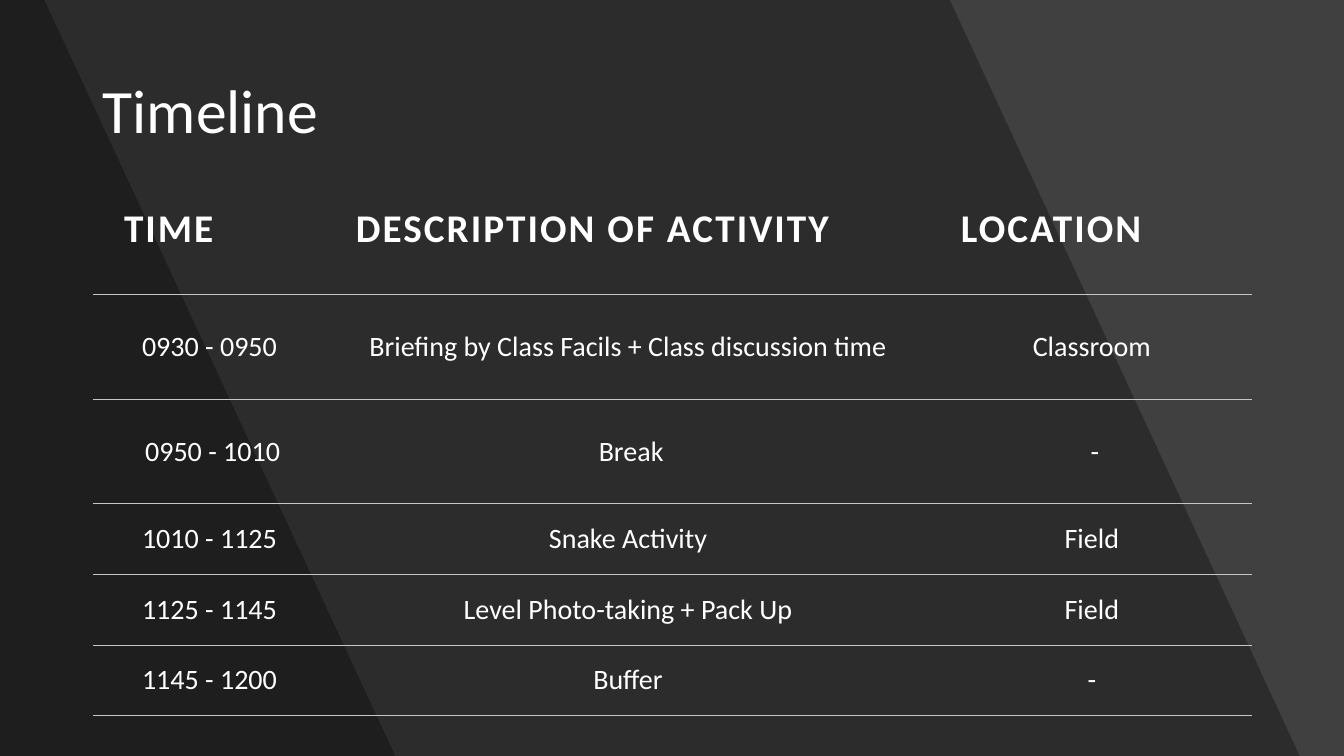
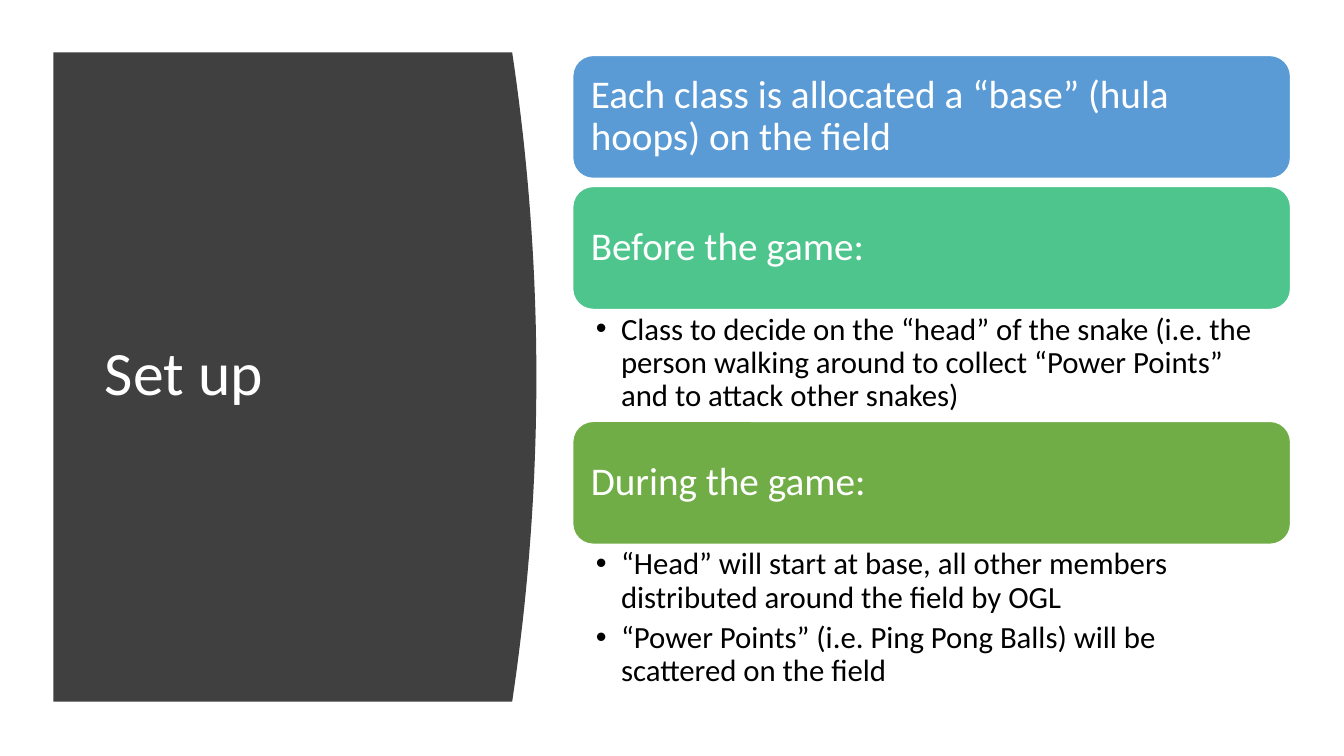
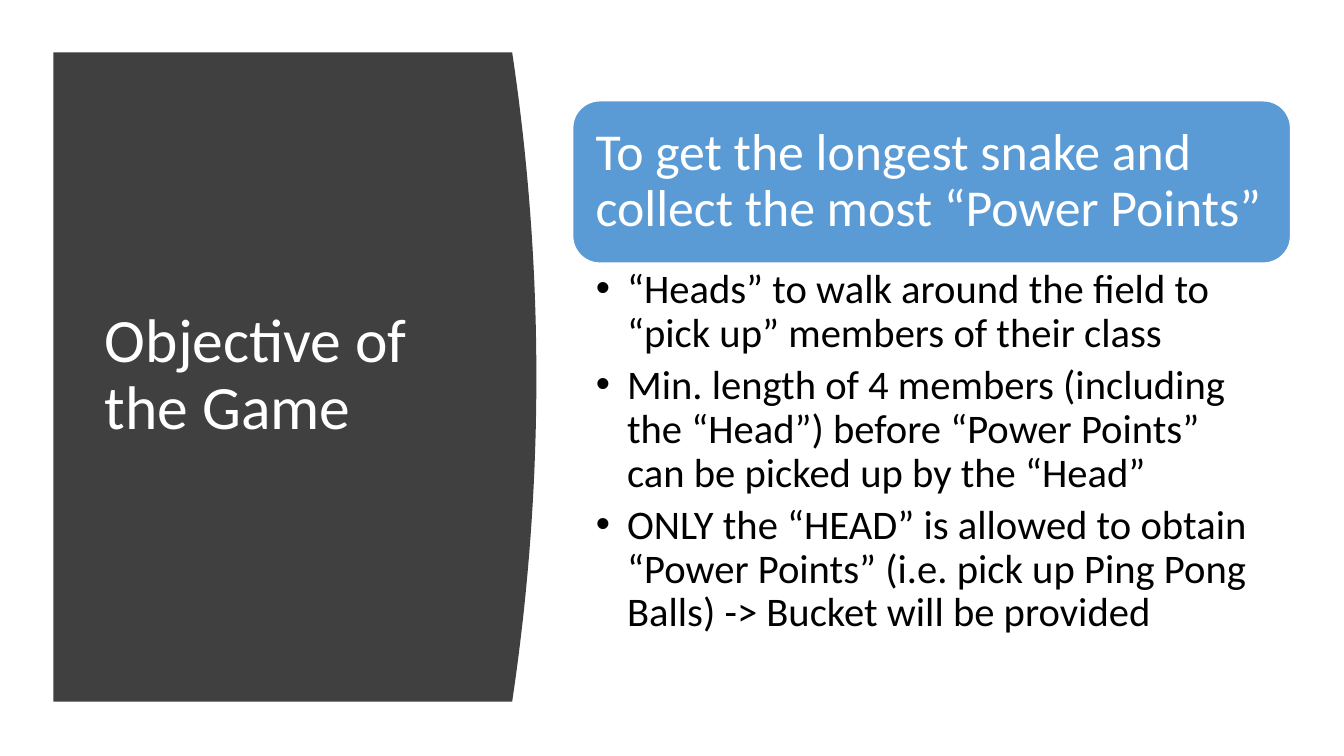
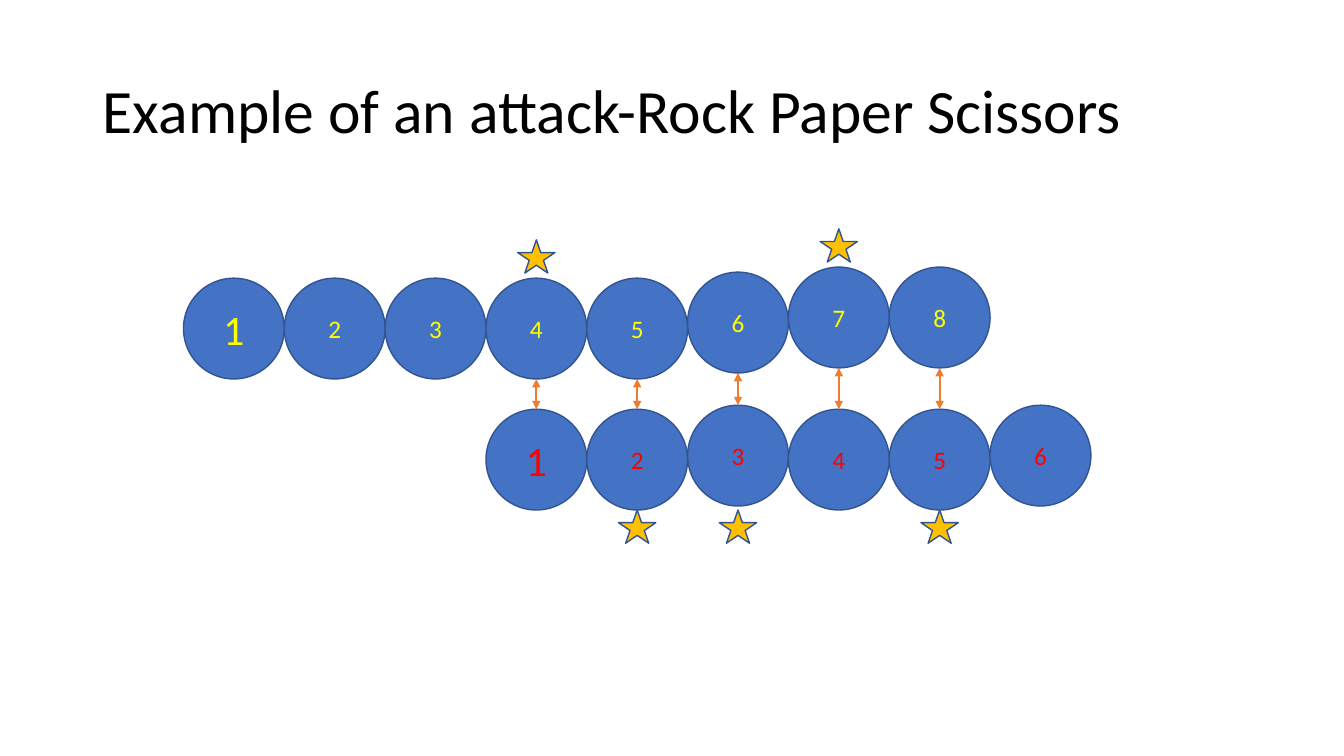
from dataclasses import dataclass

from lxml import etree
from pptx import Presentation
from pptx.dml.color import RGBColor
from pptx.enum.shapes import MSO_CONNECTOR, MSO_SHAPE
from pptx.enum.text import MSO_ANCHOR, MSO_AUTO_SIZE, PP_ALIGN
from pptx.oxml.ns import qn
from pptx.util import Inches, Pt

LEFT, CENTER = PP_ALIGN.LEFT, PP_ALIGN.CENTER
TOP, MIDDLE = MSO_ANCHOR.TOP, MSO_ANCHOR.MIDDLE
NO_FIT = MSO_AUTO_SIZE.NONE
BAND, BALL, STAR = MSO_SHAPE.ROUNDED_RECTANGLE, MSO_SHAPE.OVAL, MSO_SHAPE.STAR_5_POINT
STRAIGHT = MSO_CONNECTOR.STRAIGHT

TITLE_AND_CONTENT, TWO_CONTENT, TITLE_ONLY = 1, 3, 5
CELL = Inches(1)
COLUMNS, ROWS = 13.33, 7.5
TITLE_TOP = (0.92, 0.4, 11.5, 1.45)
TITLE_ON_PANEL = (0.94, 1.11, 3.74, 5.24)
STACK_LEFT, STACK_WIDTH = 5.68, 7.12


@dataclass(frozen=True)
class Theme:
    font: str = "Calibri"
    white: str = "FFFFFF"
    black: str = "000000"
    charcoal: str = "404040"
    rule: str = "C7C6C1"
    blue: str = "5B9BD5"
    teal: str = "4DC58D"
    green: str = "70AD47"
    ball: str = "4472C4"
    outline: str = "325491"
    star: str = "FFC000"
    arrow: str = "ED7D31"
    yellow: str = "FFFF00"
    red: str = "FF0000"
    title: int = 44
    table_head: int = 28
    table_body: int = 20
    snake_head: int = 30
    snake_body: int = 18


THEME = Theme()


@dataclass(frozen=True)
class StackStyle:
    band_height: float
    heading: int
    bullet: int
    inset: float
    indent: float
    list_right: float
    list_top: float
    gap: float = 0.08


SETUP_STACK = StackStyle(1.22, 28, 22, 0.12, 0.25, 0.22, 0.04)
OBJECTIVE_STACK = StackStyle(1.61, 37, 29, 0.15, 0.31, 0.29, 0.05)

SCHEDULE = [
    ("TIME\u00a0", "DESCRIPTION OF ACTIVITY\u00a0", "LOCATION\u00a0"),
    ("0930 - 0950\u00a0", "Briefing by Class Facils + Class discussion time\u00a0",
     "Classroom\u00a0"),
    ("0950 - 1010", "Break", "-"),
    ("1010 - 1125\u00a0", "Snake Activity\u00a0", "Field\u00a0"),
    ("1125 - 1145\u00a0", "Level Photo-taking + Pack Up\u00a0", "Field\u00a0"),
    ("1145 - 1200\u00a0", "Buffer\u00a0", "-\u00a0"),
]
SCHEDULE_COLUMNS = (2.3, 6, 3.2)
SCHEDULE_ROWS = (1.29, 1.04, 1.04, 0.7, 0.7, 0.7)

SETUP = [
    ("Each class is allocated a “base” (hula hoops) on the field", THEME.blue, [], 0),
    ("Before the game:", THEME.teal,
     ["Class to decide on the “head” of the snake (i.e. the person walking around "
      "to collect “Power Points” and to attack other snakes)"], 1.11),
    ("During the game:", THEME.green,
     ["“Head” will start at base, all other members distributed around the field by OGL",
      "“Power Points” (i.e. Ping Pong Balls) will be scattered on the field"], 1.52),
]
OBJECTIVE = [
    ("To get the longest snake and collect the most “Power Points”", THEME.blue,
     ["“Heads” to walk around the field to “pick up” members of their class",
      "Min. length of 4 members (including the “Head”) before “Power Points” "
      "can be picked up by the “Head”",
      "ONLY the “HEAD” is allowed to obtain “Power Points” (i.e. pick up Ping Pong "
      "Balls) -> Bucket will be provided"], 3.85),
]

SNAKE_LEFT = 1.82
UPPER_SNAKE = (2.76, 2.76, 2.76, 2.76, 2.76, 2.7, 2.65, 2.65)
LOWER_SNAKE = (4.06, 4.06, 4.02, 4.06, 4.06, 4.02)
LOWER_OFFSET = 3
UPPER_STARS, LOWER_STARS = (3, 6), (4, 5, 7)
STAR_WIDTH, STAR_HEIGHT = 0.37, 0.33


def grid(*cells):
    return [round(cell * CELL) for cell in cells]


def paint(fill, color):
    fill.solid()
    fill.fore_color.rgb = RGBColor.from_string(color)


def write(frame, lines, size, color, align=LEFT, anchor=MIDDLE, bold=False,
          spacing=1.0, after=0):
    frame.text = "\n".join(lines)
    frame.word_wrap = True
    frame.vertical_anchor = anchor
    for paragraph in frame.paragraphs:
        paragraph.alignment = align
        paragraph.line_spacing = spacing
        paragraph.space_before = Pt(0)
        paragraph.space_after = Pt(after)
        paragraph.font.name = THEME.font
        paragraph.font.size = Pt(size)
        paragraph.font.bold = bold
        paragraph.font.color.rgb = RGBColor.from_string(color)


def set_insets(holder, left, top, right, bottom):
    holder.margin_left, holder.margin_top, holder.margin_right, holder.margin_bottom = grid(
        left, top, right, bottom)


def move(placeholder, area):
    placeholder.left, placeholder.top, placeholder.width, placeholder.height = grid(*area)
    placeholder.text_frame.auto_size = NO_FIT


def start_slide(deck, layout, title, area, title_color, background=THEME.white):
    slide = deck.slides.add_slide(deck.slide_layouts[layout])
    paint(slide.background.fill, background)
    move(slide.shapes.title, area)
    write(slide.shapes.title.text_frame, [title], THEME.title, title_color, spacing=0.9)
    return slide


def add_backdrop(slide, corners, color, opacity=100):
    first, *others = [grid(*corner) for corner in corners]
    builder = slide.shapes.build_freeform(*first)
    builder.add_line_segments(others, close=True)
    backdrop = builder.convert_to_shape()
    backdrop.shadow.inherit = False
    backdrop.line.fill.background()
    paint(backdrop.fill, color)
    if opacity < 100:
        tint = next(backdrop.element.spPr.iter(qn("a:srgbClr")))
        etree.SubElement(tint, qn("a:alpha"), val=str(opacity * 1000))
    slide.shapes.element.insert(2, backdrop.element)


def add_shape(slide, preset, area, fill, outline):
    shape = slide.shapes.add_shape(preset, *grid(*area))
    shape.shadow.inherit = False
    paint(shape.fill, fill)
    shape.line.color.rgb = RGBColor.from_string(outline)
    shape.line.width = Pt(1)
    return shape


def add_schedule(slide, left, top):
    frame = slide.shapes.add_table(
        len(SCHEDULE), len(SCHEDULE_COLUMNS),
        *grid(left, top, sum(SCHEDULE_COLUMNS), sum(SCHEDULE_ROWS)))
    table = frame.table
    table.first_row = table.horz_banding = False
    next(frame.element.iter(qn("a:tableStyleId"))).text = "{2D5ABB26-0587-4C30-8999-92F81FD0307C}"
    for column, width in zip(table.columns, grid(*SCHEDULE_COLUMNS)):
        column.width = width
    for row, height, entries in zip(table.rows, grid(*SCHEDULE_ROWS), SCHEDULE):
        row.height = height
        heading = entries is SCHEDULE[0]
        for cell, entry in zip(row.cells, entries):
            write(cell.text_frame, [entry],
                  THEME.table_head if heading else THEME.table_body, THEME.white,
                  align=LEFT if heading else CENTER, bold=heading)
            cell.vertical_anchor = MIDDLE
            set_insets(cell, 0.31, 0.15, 0.23, 0.15)
            cell.fill.background()
    heading_row = next(frame.element.iter(qn("a:tr")))
    for letters in heading_row.iter(qn("a:defRPr")):
        letters.set("spc", "150")
    for properties in frame.element.iter(qn("a:tcPr")):
        rule = etree.Element(qn("a:lnB"), w=str(Pt(0.75)))
        ink = etree.SubElement(rule, qn("a:solidFill"))
        etree.SubElement(ink, qn("a:srgbClr"), val=THEME.rule)
        properties.insert(0, rule)


def add_panel(slide, left=0.53, top=0.52, bottom=6.96, edge=5.08, bulge=0.24, steps=40):
    half = (bottom - top) / 2
    curve = []
    for step in range(steps + 1):
        offset = 2 * step / steps - 1
        curve.append((edge + bulge * (1 - offset ** 2), top + half * (1 + offset)))
    add_backdrop(slide, [(left, top), *curve, (left, bottom)], THEME.charcoal)


def fill_list(body, area, bullets, style):
    move(body, area)
    write(body.text_frame, bullets, style.bullet, THEME.black, anchor=TOP,
          spacing=0.9, after=round(0.21 * style.bullet))
    set_insets(body.text_frame, 0.23, style.list_top, style.list_right, style.list_top)
    hang = round(style.indent * CELL)
    for properties in body.element.iter(qn("a:pPr")):
        properties.set("marL", str(hang))
        properties.set("indent", str(-hang))


def add_stack(slide, top, sections, style):
    bodies = iter([body for body in slide.placeholders if body.placeholder_format.idx > 0])
    for heading, color, bullets, list_height in sections:
        band = add_shape(slide, BAND, (STACK_LEFT, top, STACK_WIDTH, style.band_height),
                         color, THEME.white)
        write(band.text_frame, [heading], style.heading, THEME.white, spacing=0.9)
        set_insets(band.text_frame, *[style.inset] * 4)
        top += style.band_height
        if bullets:
            fill_list(next(bodies), (STACK_LEFT, top, STACK_WIDTH, list_height), bullets, style)
            top += list_height
        else:
            top += style.gap


def add_snake(slide, left, tops, color):
    for position, top in enumerate(tops):
        member = add_shape(slide, BALL, (left + position, top, 1, 1), THEME.ball, THEME.outline)
        size = THEME.snake_body if position else THEME.snake_head
        write(member.text_frame, [str(position + 1)], size, color, align=CENTER)


def add_duel_arrow(slide, x, top, bottom):
    arrow = slide.shapes.add_connector(STRAIGHT, *grid(x, top, x, bottom))
    arrow.line.color.rgb = RGBColor.from_string(THEME.arrow)
    arrow.line.width = Pt(1.5)
    stroke = arrow.element.spPr.find(qn("a:ln"))
    for end in ("a:headEnd", "a:tailEnd"):
        etree.SubElement(stroke, qn(end), type="triangle")
    etree.SubElement(arrow.element.spPr, qn("a:effectLst"))


def add_star(slide, column, top):
    left = SNAKE_LEFT + column + (1 - STAR_WIDTH) / 2
    add_shape(slide, STAR, (left, top, STAR_WIDTH, STAR_HEIGHT), THEME.star, THEME.outline)


def build_timeline(deck):
    slide = start_slide(deck, TITLE_ONLY, "Timeline", TITLE_TOP, THEME.white, THEME.charcoal)
    for upper, lower in ((9.42, 12.89), (0.44, 3.92)):
        add_backdrop(slide, [(0, 0), (upper, 0), (lower, ROWS), (0, ROWS)], THEME.black, 30)
    add_schedule(slide, 0.92, 1.63)


def build_panel_slide(deck, layout, title, top, sections, style):
    slide = start_slide(deck, layout, title, TITLE_ON_PANEL, THEME.white)
    add_panel(slide)
    add_stack(slide, top, sections, style)


def build_attack(deck):
    slide = start_slide(deck, TITLE_ONLY, "Example of an attack-Rock Paper Scissors",
                        TITLE_TOP, THEME.black)
    add_snake(slide, SNAKE_LEFT, UPPER_SNAKE, THEME.yellow)
    add_snake(slide, SNAKE_LEFT + LOWER_OFFSET, LOWER_SNAKE, THEME.red)
    for column, (upper, lower) in enumerate(
            zip(UPPER_SNAKE[LOWER_OFFSET:], LOWER_SNAKE), LOWER_OFFSET):
        add_duel_arrow(slide, SNAKE_LEFT + column + 0.5, upper + 1, lower)
    for column in UPPER_STARS:
        add_star(slide, column, UPPER_SNAKE[column] - 0.38)
    for column in LOWER_STARS:
        add_star(slide, column, max(LOWER_SNAKE) + 1)


def main():
    deck = Presentation()
    deck.slide_width, deck.slide_height = grid(COLUMNS, ROWS)
    build_timeline(deck)
    build_panel_slide(deck, TWO_CONTENT, "Set up", 0.55, SETUP, SETUP_STACK)
    build_panel_slide(deck, TITLE_AND_CONTENT, "Objective of the Game", 1, OBJECTIVE,
                      OBJECTIVE_STACK)
    build_attack(deck)
    deck.save("out.pptx")


main()
